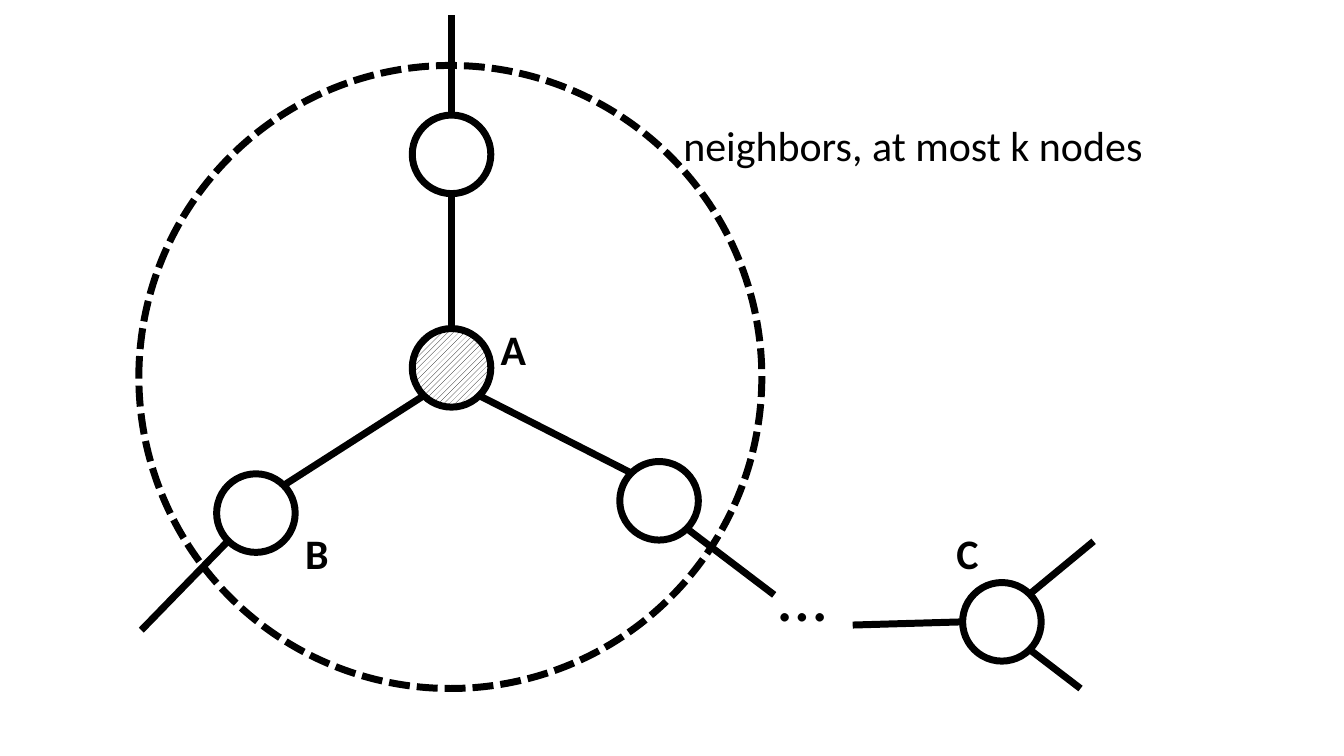
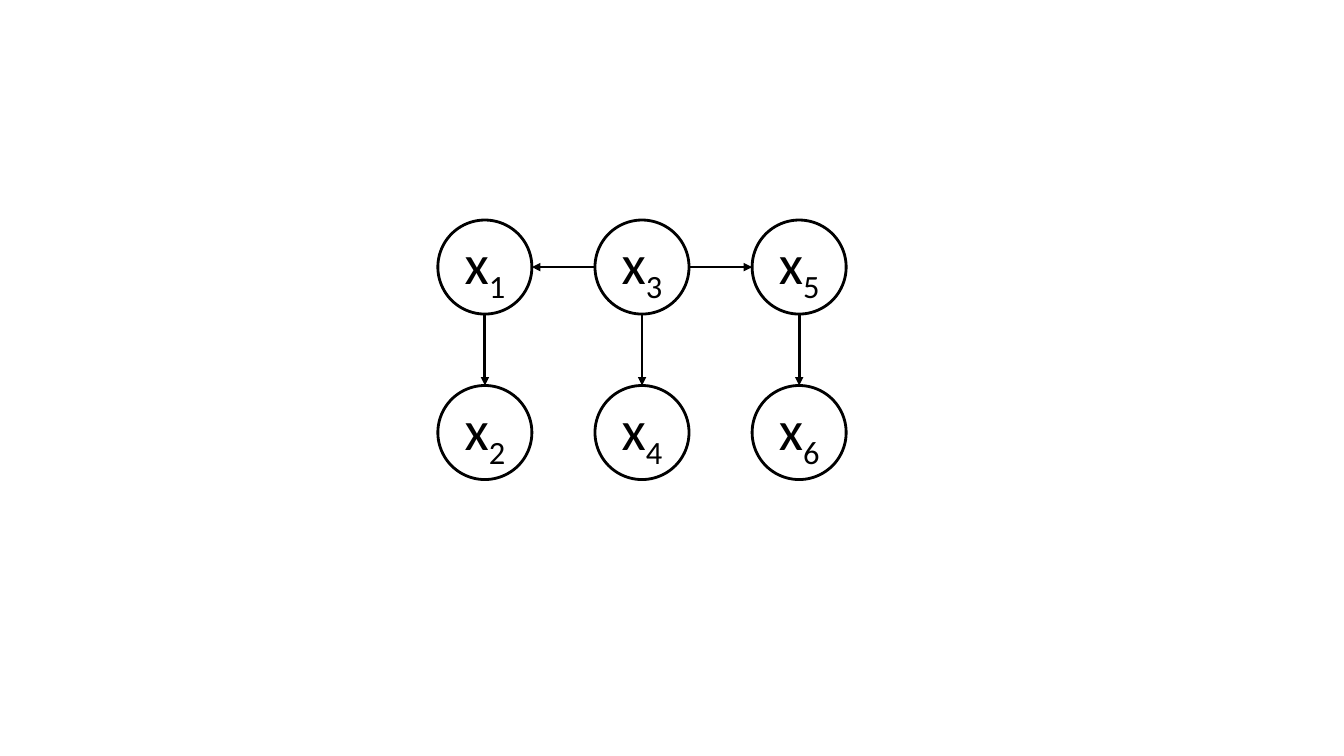
from dataclasses import dataclass
from math import cos, radians, sin

from lxml.etree import SubElement
from pptx import Presentation
from pptx.dml.color import RGBColor
from pptx.enum.dml import MSO_LINE, MSO_PATTERN
from pptx.enum.shapes import MSO_CONNECTOR, MSO_SHAPE
from pptx.enum.text import MSO_ANCHOR, MSO_AUTO_SIZE, PP_ALIGN
from pptx.oxml.ns import qn
from pptx.util import Cm, Pt


@dataclass(frozen=True)
class Theme:
    """Colours, font, type sizes and line widths shared by both slides."""
    ink: RGBColor = RGBColor(0, 0, 0)
    paper: RGBColor = RGBColor(255, 255, 255)
    font: str = "Calibri"
    label_size: int = 30
    variable_size: int = 40
    ellipsis_size: int = 50
    bold_line: float = 5
    thin_line: float = 2


THEME = Theme()
SLIDE_SIZE = (33.87, 19.05)

# Lengths are in centimetres; angles in degrees, clockwise from the right.
RIGHT, DOWN_RIGHT, DOWN, DOWN_LEFT, LEFT, UP_LEFT, UP, UP_RIGHT = range(0, 360, 45)

# Slide 1: node centres, links between nodes, and links leaving the drawing
NODE_SIZE = 1.98
NODES = {
    "A": (11.38, 9.27),
    "top": (11.38, 3.89),
    "B": (6.45, 12.93),
    "right": (16.61, 12.62),
    "C": (25.25, 15.67),
}
LINKS = [
    ("A", DOWN_LEFT, "B", UP_RIGHT),
    ("A", UP, "top", DOWN),
    ("A", DOWN_RIGHT, "right", UP_LEFT),
]
OPEN_LINKS = [
    ("B", DOWN_LEFT, (3.56, 15.88)),
    ("right", DOWN_RIGHT, (19.51, 14.99)),
    ("top", UP, (11.38, 0.38)),
    ("C", LEFT, (21.49, 15.75)),
    ("C", UP_RIGHT, (27.56, 13.64)),
    ("C", DOWN_RIGHT, (27.23, 17.35)),
]
NEIGHBORHOOD_CENTRE, NEIGHBORHOOD_SIZE = (11.35, 9.5), 15.7
# text, (left, top, width, height), type size, bold, wrap
LABELS = [
    ("neighbors, at most k nodes", (16.97, 2.9, 12.22, 1.55), THEME.label_size, False, False),
    ("A", (12.37, 8.03, 1.17, 1.55), THEME.label_size, True, False),
    ("B", (7.44, 13.16, 1.14, 1.55), THEME.label_size, True, False),
    ("C", (23.85, 13.16, 1.09, 1.55), THEME.label_size, True, False),
    ("…", (19.38, 13.77, 2.59, 2.39), THEME.ellipsis_size, False, True),
]

# Slide 2: rows of variable subscripts and the arrows between them
VARIABLE_ROWS = ["135", "246"]
VARIABLE_SIZE = 2.37
FIRST_VARIABLE = (12.22, 6.73)
COLUMN_STEP, ROW_STEP = 3.96, 4.17
ARROWS = [
    ("1", DOWN, "2", UP),
    ("3", DOWN, "4", UP),
    ("5", DOWN, "6", UP),
    ("3", LEFT, "1", RIGHT),
    ("3", RIGHT, "5", LEFT),
]


def rim_point(centre, size, angle):
    """Return the point on a circle's edge at the given angle."""
    x, y = centre
    turn = radians(angle)
    return x + size / 2 * cos(turn), y + size / 2 * sin(turn)


def add_circle(page, centre, size, width):
    """Draw an unfilled circle around its centre."""
    x, y = centre
    circle = page.shapes.add_shape(
        MSO_SHAPE.OVAL, Cm(x - size / 2), Cm(y - size / 2), Cm(size), Cm(size))
    circle.shadow.inherit = False
    circle.fill.background()
    circle.line.color.rgb = THEME.ink
    circle.line.width = Pt(width)
    return circle


def add_line(page, start, end, width, arrow=False):
    """Draw a straight line, with a triangle at its end if asked."""
    line = page.shapes.add_connector(
        MSO_CONNECTOR.STRAIGHT, *(Cm(value) for value in (*start, *end)))
    line.line.color.rgb = THEME.ink
    line.line.width = Pt(width)
    properties = line._element.spPr
    if arrow:
        SubElement(properties.find(qn("a:ln")), qn("a:tailEnd"), type="triangle")
    SubElement(properties, qn("a:effectLst"))


def add_links(page, links, centres, size, width, arrow=False):
    """Join pairs of circles from edge to edge."""
    for source, leave, target, arrive in links:
        add_line(page, rim_point(centres[source], size, leave),
                 rim_point(centres[target], size, arrive), width, arrow)


def add_span(para, text, size, bold=False):
    """Append one run in the theme's font and colour."""
    span = para.add_run()
    span.text = text
    span.font.name = THEME.font
    span.font.size = Pt(size)
    span.font.bold = bold
    span.font.color.rgb = THEME.ink
    return span


def add_label(page, text, place, size, bold, wrap):
    """Write a free-standing label."""
    box = page.shapes.add_textbox(*(Cm(value) for value in place))
    frame = box.text_frame
    frame.word_wrap = wrap
    frame.auto_size = MSO_AUTO_SIZE.SHAPE_TO_FIT_TEXT
    add_span(frame.paragraphs[0], text, size, bold)


def add_variable(page, centre, subscript):
    """Draw a circle holding x with a subscript."""
    circle = add_circle(page, centre, VARIABLE_SIZE, THEME.thin_line)
    circle.text_frame.vertical_anchor = MSO_ANCHOR.MIDDLE
    para = circle.text_frame.paragraphs[0]
    para.alignment = PP_ALIGN.CENTER
    add_span(para, "x", THEME.variable_size)
    span = add_span(para, subscript, THEME.variable_size)
    span.font._element.set("baseline", "-25000")


def build_neighborhood(page):
    """Build the slide of node A and its neighbors."""
    for name, centre in NODES.items():
        node = add_circle(page, centre, NODE_SIZE, THEME.bold_line)
        if name == "A":
            node.fill.patterned()
            node.fill.pattern = MSO_PATTERN.WIDE_UPWARD_DIAGONAL
            node.fill.fore_color.rgb = THEME.ink
            node.fill.back_color.rgb = THEME.paper
    add_links(page, LINKS, NODES, NODE_SIZE, THEME.bold_line)
    for name, angle, end in OPEN_LINKS:
        add_line(page, rim_point(NODES[name], NODE_SIZE, angle), end, THEME.bold_line)
    ring = add_circle(page, NEIGHBORHOOD_CENTRE, NEIGHBORHOOD_SIZE, THEME.bold_line)
    ring.line.dash_style = MSO_LINE.SQUARE_DOT
    for label in LABELS:
        add_label(page, *label)


def build_variables(page):
    """Build the slide of six variables on a grid."""
    left, top = FIRST_VARIABLE
    centres = {
        subscript: (left + column * COLUMN_STEP, top + row * ROW_STEP)
        for row, subscripts in enumerate(VARIABLE_ROWS)
        for column, subscript in enumerate(subscripts)
    }
    for subscript, centre in centres.items():
        add_variable(page, centre, subscript)
    add_links(page, ARROWS, centres, VARIABLE_SIZE, THEME.thin_line, arrow=True)


def main():
    """Build and save the deck."""
    deck = Presentation()
    deck.slide_width, deck.slide_height = (Cm(value) for value in SLIDE_SIZE)
    blank = deck.slide_layouts[6]
    for build in (build_neighborhood, build_variables):
        build(deck.slides.add_slide(blank))
    deck.save("out.pptx")


main()
